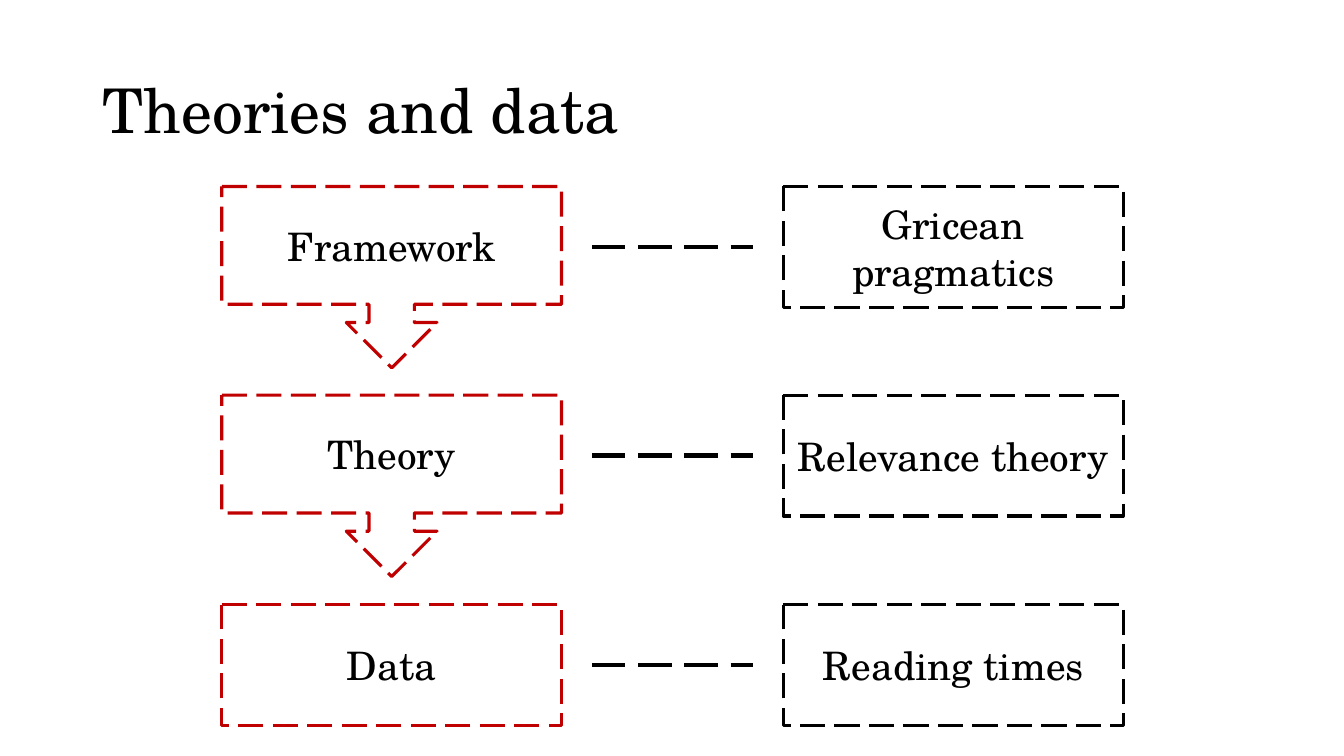
from lxml import etree
from pptx import Presentation
from pptx.dml.color import RGBColor
from pptx.enum.dml import MSO_LINE
from pptx.enum.shapes import MSO_CONNECTOR, MSO_SHAPE
from pptx.enum.text import MSO_ANCHOR, PP_ALIGN
from pptx.oxml.ns import qn
from pptx.util import Inches, Pt

COLORS = {"white": "FFFFFF", "black": "000000", "red": "C00000"}
FONT = "TeX Gyre Schola"
LEVEL_X, EXAMPLE_X, BOX_W, BOX_H = 2.2, 7.77, 3.37, 1.2
CALLOUT_H = 1.8
LINK_GAP = 0.3
ROWS = [
    (1.85, "Framework", "Gricean pragmatics"),
    (3.92, "Theory", "Relevance theory"),
    (6, "Data", "Reading times"),
]


def write_text(shape, text, size=28, align=PP_ALIGN.CENTER, spacing=None):
    tf = shape.text_frame
    tf.word_wrap = True
    tf.vertical_anchor = MSO_ANCHOR.MIDDLE
    p = tf.paragraphs[0]
    p.alignment = align
    p.line_spacing = spacing
    r = p.add_run()
    r.text = text
    r.font.size = Pt(size)
    r.font.name = FONT
    r.font.color.rgb = RGBColor.from_string(COLORS["black"])


def dash_line(line, color, width):
    line.color.rgb = RGBColor.from_string(COLORS[color])
    line.width = Pt(width)
    line.dash_style = MSO_LINE.LONG_DASH


prs = Presentation()
prs.slide_width, prs.slide_height = Inches(13.33), Inches(7.5)
s = prs.slides.add_slide(prs.slide_layouts[5])
s.background.fill.solid()
s.background.fill.fore_color.rgb = RGBColor.from_string(COLORS["white"])

title = s.shapes.title
title.left, title.top = Inches(0.92), Inches(0.4)
title.width, title.height = Inches(11.5), Inches(1.45)
write_text(title, "Theories and data", size=44, align=PP_ALIGN.LEFT, spacing=0.9)

for top, level, example in ROWS:
    if level == "Data":
        kind, height = MSO_SHAPE.FLOWCHART_PROCESS, BOX_H
    else:
        kind, height = MSO_SHAPE.DOWN_ARROW_CALLOUT, CALLOUT_H
    boxes = [
        (kind, LEVEL_X, height, "red", level),
        (MSO_SHAPE.FLOWCHART_PROCESS, EXAMPLE_X, BOX_H, "black", example),
    ]
    for shape_kind, x, h, color, text in boxes:
        sp = s.shapes.add_shape(shape_kind, Inches(x), Inches(top), Inches(BOX_W), Inches(h))
        sp.shadow.inherit = False
        sp.fill.solid()
        sp.fill.fore_color.rgb = RGBColor.from_string(COLORS["white"])
        dash_line(sp.line, color, 2.25)
        write_text(sp, text)

    y = Inches(top + BOX_H / 2)
    link = s.shapes.add_connector(
        MSO_CONNECTOR.STRAIGHT,
        Inches(LEVEL_X + BOX_W + LINK_GAP), y, Inches(EXAMPLE_X - LINK_GAP), y,
    )
    dash_line(link.line, "black", 3)
    etree.SubElement(link._element.spPr, qn("a:effectLst"))

prs.save("out.pptx")
